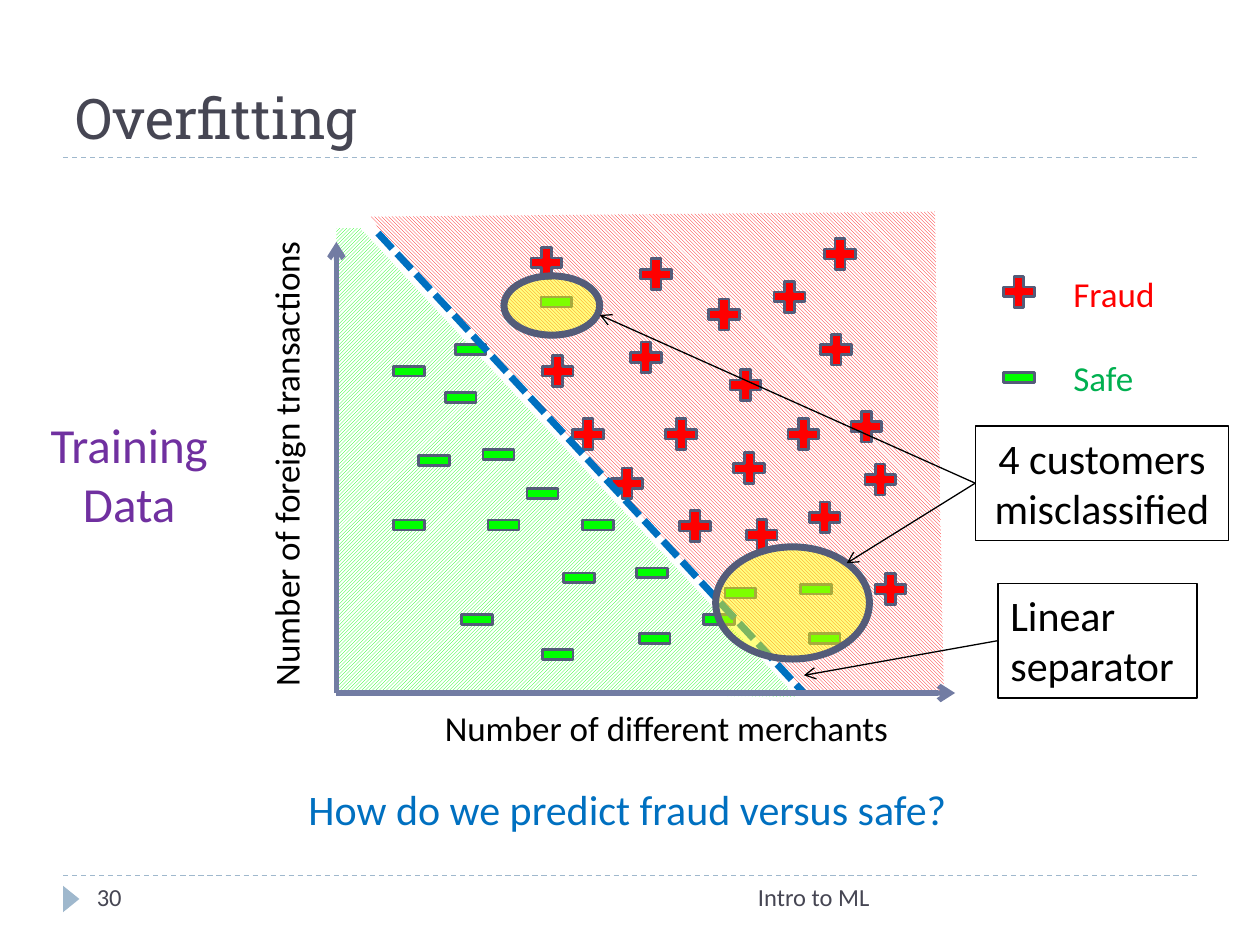
import pptx
import pptx.util
import pptx.dml.color
import pptx.enum.dml
import pptx.enum.shapes
import pptx.enum.text
import pptx.oxml.ns
import lxml.etree

presentation = pptx.Presentation()
presentation.slide_width = pptx.util.Inches(10)
presentation.slide_height = pptx.util.Inches(7.5)
COLUMN = presentation.slide_width / 100
ROW = presentation.slide_height / 75
Pt = pptx.util.Pt
SHAPE = pptx.enum.shapes.MSO_SHAPE
ALIGN = pptx.enum.text.PP_ALIGN
ANCHOR = pptx.enum.text.MSO_ANCHOR
DASH = pptx.enum.dml.MSO_LINE
PATTERN = pptx.enum.dml.MSO_PATTERN
qn = pptx.oxml.ns.qn


def color(value):
    return pptx.dml.color.RGBColor.from_string(value)


def grid(*lengths):
    return [round(length * (ROW if index % 2 else COLUMN)) for index, length in enumerate(lengths)]


slide = presentation.slides.add_slide(presentation.slide_layouts[5])
shapes = slide.shapes

title = shapes.title
title.left, title.top, title.width, title.height = grid(5, 2.5, 90, 10)
title.text_frame.text = "Overfitting"
title.text_frame.vertical_anchor = ANCHOR.BOTTOM
paragraph = title.text_frame.paragraphs[0]
paragraph.alignment = ALIGN.LEFT
paragraph.font.size = Pt(32)
paragraph.font.name = "Roboto Slab"
paragraph.font.color.rgb = color("464653")

marker = shapes.add_shape(SHAPE.ISOSCELES_TRIANGLE, *grid(4.6, 70.7, 2.1, 1.3))
marker.rotation = 90
marker.shadow.inherit = False
marker.fill.solid()
marker.fill.fore_color.rgb = color("9FB8CD")
marker.line.fill.background()

regions = [
    (PATTERN.LIGHT_UPWARD_DIAGONAL, "00FF00",
     [(28.6, 18.1), (63.2, 55.3), (26.9, 54.9), (26.7, 18.1)]),
    (PATTERN.LIGHT_DOWNWARD_DIAGONAL, "FF0000",
     [(30.1, 18.2), (63.9, 55), (74.9, 54.9), (74.2, 16.8), (29.4, 17.2)]),
]
for pattern, foreground, corners in regions:
    points = [grid(*corner) for corner in corners]
    builder = shapes.build_freeform(*points[0])
    builder.add_line_segments(points[1:], close=True)
    region = builder.convert_to_shape()
    region.shadow.inherit = False
    region.fill.patterned()
    region.fill.pattern = pattern
    region.fill.fore_color.rgb = color(foreground)
    region.fill.back_color.rgb = color("FFFFFF")
    region.line.fill.background()

labels = [
    ("Intro to ML", (31.7, 69.5, 38.3, 4), 0, ALIGN.RIGHT, 14, "464653"),
    ("30", (6.7, 69.5, 21.7, 4), 0, ALIGN.LEFT, 14, "464653"),
    ("Number of different merchants", (30, 55.6, 45.8, 4.4), 0, ALIGN.CENTER, 20, "000000"),
    ("Number of foreign transactions", (-0.2, 34.6, 45.8, 4.4), 270, ALIGN.CENTER, 20, "000000"),
    ("Fraud", (84.2, 21.1, 13.3, 4.4), 0, ALIGN.LEFT, 20, "FF0000"),
    ("Safe", (84.2, 27.8, 13.3, 4.4), 0, ALIGN.LEFT, 20, "00B050"),
    ("How do we predict fraud versus safe?", (20.5, 61.7, 58.6, 5), 0, ALIGN.CENTER, 24, "0070C0"),
    ("Training Data", (2.5, 32.4, 15.5, 10.4), 0, ALIGN.CENTER, 28, "7030A0"),
    ("Linear separator", (79.2, 46.3, 15.8, 9.1), 0, ALIGN.LEFT, 24, "000000"),
    ("4 customers misclassified", (77.4, 33.8, 20.1, 9.1), 0, ALIGN.CENTER, 24, "000000"),
]
callouts = {}
for text, position, rotation, alignment, size, text_color in labels:
    if text in ("Linear separator", "4 customers misclassified"):
        label = shapes.add_shape(SHAPE.RECTANGLE, *grid(*position))
        label.shadow.inherit = False
        label.fill.background()
        label.line.color.rgb = color("000000")
        label.line.width = Pt(0.75)
        callouts[text] = label
    else:
        label = shapes.add_textbox(*grid(*position))
    label.rotation = rotation
    label.text_frame.word_wrap = True
    label.text_frame.vertical_anchor = ANCHOR.TOP
    label.text_frame.text = text
    paragraph = label.text_frame.paragraphs[0]
    paragraph.alignment = alignment
    paragraph.font.size = Pt(size)
    paragraph.font.name = "Calibri"
    paragraph.font.color.rgb = color(text_color)

fraud_marks = [
    (79.2, 21.5), (55.8, 23.3), (45, 32.8), (63.8, 39.4), (68.2, 36.4), (42.6, 27.8),
    (41.7, 19.2), (49.6, 26.7), (50.4, 20.1), (57.5, 28.9), (64.7, 26.1), (65, 18.5),
    (48.1, 36.7), (69, 45.1), (57.8, 35.5), (58.8, 40.8), (53.5, 40.1), (52.4, 32.8),
    (62.1, 32.8), (67.1, 32.2), (61, 21.9),
]
safe_marks = [
    (79.2, 28.3), (38.3, 40), (41.4, 37.5), (50.1, 43.8), (55.4, 47.5), (37.9, 34.4),
    (30.8, 27.8), (30.8, 40), (36.2, 47.5), (44.3, 44.2), (32.8, 34.9), (42.5, 22.3),
    (45.8, 40), (63.1, 45.1), (57.1, 45.4), (34.9, 29.9), (35.7, 26.1), (50.3, 49),
    (42.6, 50.3), (63.8, 49),
]
for preset, fill_color, marks in [
    (SHAPE.MATH_PLUS, "FF0000", fraud_marks),
    (SHAPE.MATH_MINUS, "00FF00", safe_marks),
]:
    for left, top in marks:
        mark = shapes.add_shape(preset, *grid(left, top, 3.33, 3.33))
        mark.shadow.inherit = False
        mark.fill.solid()
        mark.fill.fore_color.rgb = color(fill_color)
        mark.line.color.rgb = color("545C79")
        mark.line.width = Pt(1.5)

highlights = []
for position in [(56.8, 43.4, 12.2, 8.9), (40, 21.9, 7.6, 4.7)]:
    highlight = shapes.add_shape(SHAPE.OVAL, *grid(*position))
    highlight.shadow.inherit = False
    highlight.fill.solid()
    highlight.fill.fore_color.rgb = color("FFFF00")
    fill_element = highlight.element.spPr.find(".//" + qn("a:srgbClr"))
    lxml.etree.SubElement(fill_element, qn("a:alpha"), val="49000")
    highlight.line.color.rgb = color("545C79")
    highlight.line.width = Pt(4)
    highlights.append(highlight)

lines = [
    ((5, 69.5, 95, 69.5), "9FB8CD", 0.75, DASH.DASH, False, None),
    ((5, 12.5, 95, 12.5), "9FB8CD", 0.75, DASH.DASH, False, None),
    ((26.7, 55, 75.8, 55), "727CA3", 3, None, True, None),
    ((26.7, 55, 26.7, 19.2), "727CA3", 3, None, True, None),
    ((79.2, 50.8, 63.8, 53.6), "000000", 0.75, None, True, "Linear separator"),
    ((77.4, 38.3, 67.2, 44.7), "000000", 0.75, None, True, "4 customers misclassified"),
    ((77.4, 38.3, 47.6, 25), "000000", 0.75, None, True, "4 customers misclassified"),
    ((30, 18.5, 63.8, 55), "0070C0", 4, DASH.SQUARE_DOT, False, None),
]
for ends, line_color, width, dash, arrow, callout in lines:
    connector = shapes.add_connector(pptx.enum.shapes.MSO_CONNECTOR.STRAIGHT, *grid(*ends))
    connector.line.color.rgb = color(line_color)
    connector.line.width = Pt(width)
    if dash:
        connector.line.dash_style = dash
    if arrow:
        lxml.etree.SubElement(connector.line._get_or_add_ln(), qn("a:tailEnd"), type="arrow")
    lxml.etree.SubElement(connector.element.spPr, qn("a:effectLst"))
    if callout:
        connector.begin_connect(callouts[callout], 1)

separator = connector
highlights[0].element.addprevious(separator.element)

presentation.save("out.pptx")
